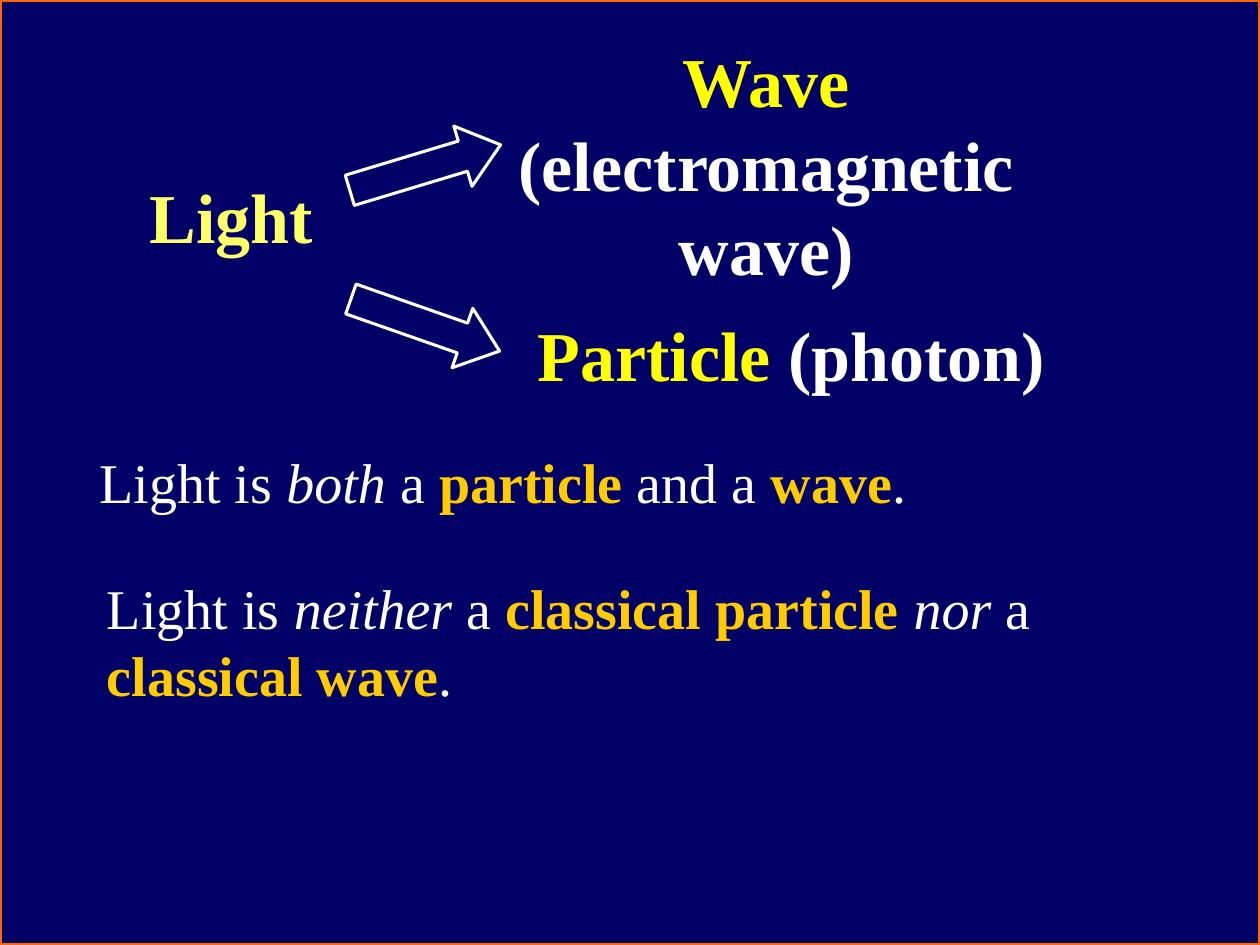
from pptx import Presentation
from pptx.dml.color import RGBColor
from pptx.enum import shapes, text
from pptx.util import Inches, Pt

NAVY = RGBColor(0x00, 0x00, 0x66)
ORANGE = RGBColor(0xFF, 0x66, 0x00)
PALE_YELLOW = RGBColor(0xFF, 0xFF, 0x66)
YELLOW = RGBColor(0xFF, 0xFF, 0x00)
GOLD = RGBColor(0xFF, 0xCC, 0x00)
WHITE = RGBColor(0xFF, 0xFF, 0xFF)
FONT = "Times New Roman"

PLAIN = (WHITE, False, False)
ITALIC = (WHITE, False, True)
KEYWORD = (GOLD, True, False)
LABEL = (WHITE, True, False)
TERM = (YELLOW, True, False)
SOURCE = (PALE_YELLOW, True, False)


def add_outline(slide, kind, box, color, width):
    """Add an unfilled preset shape in the given box."""
    shape = slide.shapes.add_shape(kind, *box)
    shape.shadow.inherit = False
    shape.fill.background()
    shape.line.color.rgb = color
    shape.line.width = Pt(width)
    return shape


def add_text(slide, box, size, pieces, wrap=True, alignment=text.PP_ALIGN.LEFT):
    """Add one paragraph of (wording, style) pieces in a box that grows to fit."""
    shape = slide.shapes.add_textbox(*box)
    frame = shape.text_frame
    frame.word_wrap = wrap
    frame.auto_size = text.MSO_AUTO_SIZE.SHAPE_TO_FIT_TEXT
    paragraph = frame.paragraphs[0]
    paragraph.alignment = alignment
    paragraph.font.name = FONT
    paragraph.font.size = Pt(size)
    for wording, (color, bold, italic) in pieces:
        run = paragraph.add_run()
        run.text = wording
        run.font.color.rgb = color
        run.font.bold = bold
        run.font.italic = italic
    return shape


def add_diagram(slide, left, top):
    """Place the light label, its two arrows and their targets."""
    def box(x, y, width, height):
        return left + Inches(x), top + Inches(y), Inches(width), Inches(height)

    add_text(slide, box(0, 1.08, 1.5, 0.77), 40, [("Light", SOURCE)], wrap=False)
    add_text(slide, box(3.08, 2.17, 4.22, 0.77), 40,
             [("Particle", TERM), (" (photon)", LABEL)], wrap=False)
    for y, rotation in ((2.08, 19.3), (0.83, 343.2)):
        arrow = add_outline(slide, shapes.MSO_SHAPE.RIGHT_ARROW,
                            box(1.66, y, 1.25, 0.5), WHITE, 1.75)
        arrow.adjustments[0] = 0.5
        arrow.adjustments[1] = 0.625
        arrow.rotation = rotation
    add_text(slide, box(2.49, 0, 5, 2.1), 40,
             [("Wave", TERM), (" (electromagnetic wave)", LABEL)],
             alignment=text.PP_ALIGN.CENTER)


def add_statements(slide, left, top):
    """Place the two statements about the nature of light."""
    both = add_text(slide, (left, top, Inches(9.58), Inches(0.64)), 32, [
        ("Light is ", PLAIN), ("both", ITALIC), (" a ", PLAIN),
        ("particle", KEYWORD), (" and a ", PLAIN), ("wave", KEYWORD), (".", PLAIN)])
    both.text_frame.margin_left = Inches(0.54)
    add_text(slide, (left + Inches(0.5), top + Inches(1), Inches(8.02), Inches(1.17)), 32, [
        ("Light is ", PLAIN), ("neither", ITALIC), (" a ", PLAIN),
        ("classical particle ", KEYWORD), ("nor", ITALIC), (" a ", PLAIN),
        ("classical wave", KEYWORD), (".", PLAIN)])


def main():
    """Build and save the slide."""
    presentation = Presentation()
    presentation.slide_width = Inches(10)
    presentation.slide_height = Inches(7.5)
    slide = presentation.slides.add_slide(presentation.slide_layouts[6])
    slide.background.fill.solid()
    slide.background.fill.fore_color.rgb = NAVY
    add_outline(slide, shapes.MSO_SHAPE.RECTANGLE,
                (0, 0, presentation.slide_width, presentation.slide_height), ORANGE, 2)
    add_diagram(slide, Inches(1.09), Inches(0.25))
    add_statements(slide, Inches(0.25), Inches(3.5))
    presentation.save("out.pptx")


if __name__ == "__main__":
    main()
